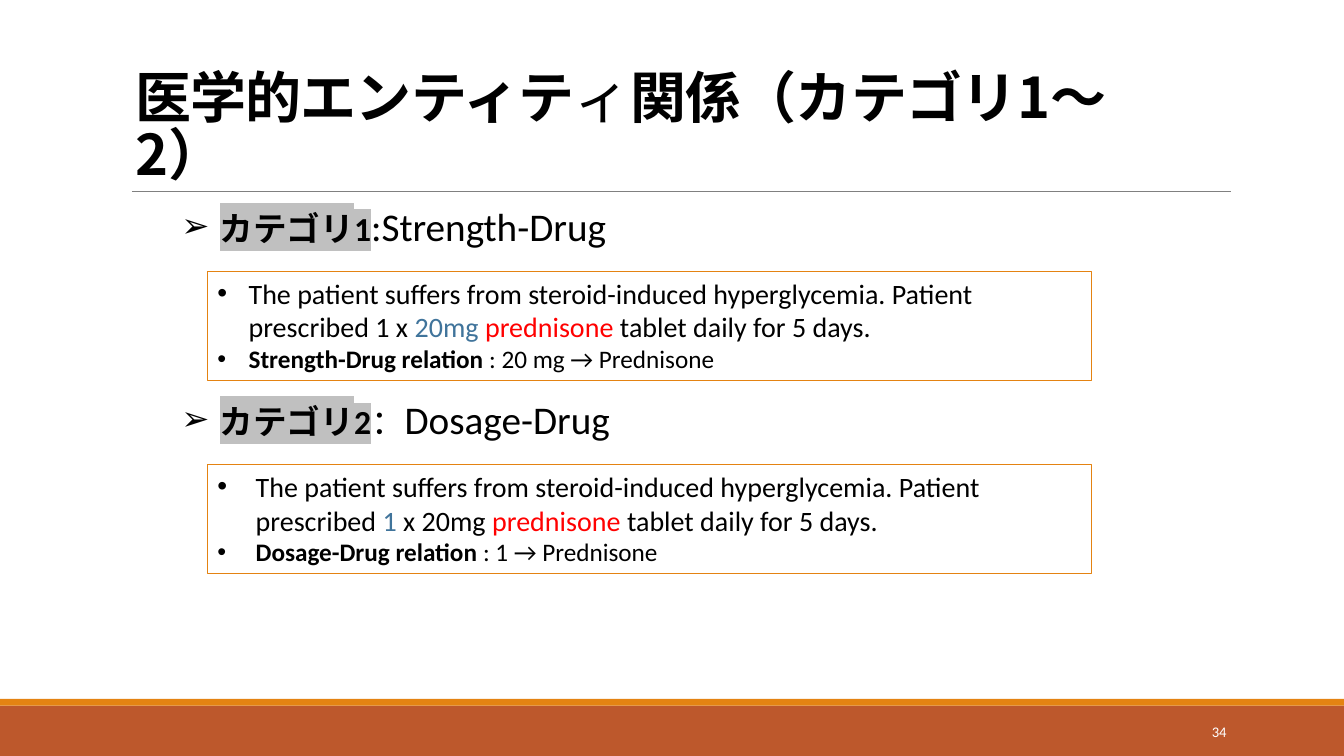
"""Builds the slide on medical entity relations, categories 1 and 2."""
from dataclasses import dataclass

from lxml import etree
from pptx import Presentation
from pptx.dml.color import RGBColor
from pptx.enum.shapes import MSO_CONNECTOR, MSO_SHAPE
from pptx.enum.text import MSO_ANCHOR, PP_ALIGN
from pptx.oxml.ns import qn
from pptx.util import Inches, Pt

RECT = MSO_SHAPE.RECTANGLE
STRAIGHT = MSO_CONNECTOR.STRAIGHT
TOP, MIDDLE, BOTTOM = MSO_ANCHOR.TOP, MSO_ANCHOR.MIDDLE, MSO_ANCHOR.BOTTOM
LEFT, RIGHT = PP_ALIGN.LEFT, PP_ALIGN.RIGHT
SLIDE_W, SLIDE_H = 13.33, 7.5
COLS, ROWS = 16, 9


@dataclass(frozen=True)
class Theme:
    """Colours, fonts and type sizes of the slide."""

    ink: str = "000000"
    paper: str = "FFFFFF"
    rust: str = "BD582C"
    orange: str = "E48312"
    rule: str = "808080"
    marker: str = "C0C0C0"
    blue: str = "40749B"
    red: str = "FF0000"
    latin: str = "Calibri"
    cjk: str = "Noto Sans CJK JP"
    title: float = 40
    heading: float = 28
    label: float = 24
    example: float = 20
    relation: float = 18
    number: float = 10.5


T = Theme()
STEP = 2.3
CATEGORIES = [
    {
        "heading": [("カテゴリ1", {"size": T.label, "bold": True, "mark": T.marker}),
                    (":Strength-Drug", {"size": T.heading})],
        "example": [("The patient suffers from steroid-induced hyperglycemia. "
                     "Patient prescribed 1 x ", {}),
                    ("20mg ", {"color": T.blue}),
                    ("prednisone ", {"color": T.red}),
                    ("tablet daily for 5 days.", {})],
        "relation": [("Strength-Drug relation ", {"bold": True}),
                     (": 20 mg → Prednisone", {})],
        "indent": 0.31,
    },
    {
        "heading": [("カテゴリ2", {"size": T.label, "bold": True, "mark": T.marker}),
                    ("：", {"size": T.label}),
                    ("Dosage-Drug", {"size": T.heading})],
        "example": [("The patient suffers from steroid-induced hyperglycemia. "
                     "Patient prescribed ", {}),
                    ("1", {"color": T.blue}),
                    (" x 20mg ", {}),
                    ("prednisone ", {"color": T.red}),
                    ("tablet daily for 5 days.", {})],
        "relation": [("Dosage-Drug relation ", {"bold": True}),
                     (": 1 → Prednisone", {})],
        "indent": 0.38,
    },
]


def grid(col, row, *size):
    """Turns grid columns and rows into slide lengths."""
    units = (SLIDE_W / COLS, SLIDE_H / ROWS) * 2
    return [Inches(n * u) for n, u in zip((col, row, *size), units)]


def add_run(p, text, size, bold=False, color=T.ink, font=T.latin, mark=None, spacing=None):
    """Adds one formatted run to a paragraph."""
    r = p.add_run()
    r.text = text
    for name, value in {"size": Pt(size), "bold": bold, "name": font}.items():
        setattr(r.font, name, value)
    r.font.color.rgb = RGBColor.from_string(color)
    rpr = r.font._element
    latin = rpr.find(qn("a:latin"))
    ea = etree.Element(qn("a:ea"), typeface=T.cjk)
    latin.addnext(ea)
    if mark:
        highlight = etree.Element(qn("a:highlight"))
        etree.SubElement(highlight, qn("a:srgbClr"), val=mark)
        latin.addprevious(highlight)
    if spacing:
        rpr.set("spc", str(int(spacing * 100)))


def add_bullet(p, char, margin, hang):
    """Gives a paragraph a bullet and a hanging indent."""
    ppr = p._p.get_or_add_pPr()
    ppr.set("marL", str(Inches(margin)))
    ppr.set("indent", str(-Inches(hang)))
    etree.SubElement(ppr, qn("a:buFont"), typeface="Arial")
    etree.SubElement(ppr, qn("a:buChar"), char=char)


def fill_text(sp, paragraphs, size, anchor=TOP, align=LEFT, bullet=None, spacing=None):
    """Writes paragraphs of runs into a shape."""
    tf = sp.text_frame
    for name, value in {"word_wrap": True, "vertical_anchor": anchor}.items():
        setattr(tf, name, value)
    for i, runs in enumerate(paragraphs):
        p = tf.add_paragraph() if i else tf.paragraphs[0]
        for name, value in {"alignment": align, "line_spacing": spacing}.items():
            setattr(p, name, value)
        if bullet:
            add_bullet(p, *bullet)
        for text, style in runs:
            add_run(p, text, **{"size": size, **style})


def add_text(s, place, paragraphs, size, **layout):
    """Adds a text box on the grid."""
    fill_text(s.shapes.add_textbox(*grid(*place)), paragraphs, size, **layout)


def add_rect(s, place, fill=None, line=None):
    """Adds a flat rectangle on the grid."""
    sp = s.shapes.add_shape(RECT, *grid(*place))
    sp.shadow.inherit = False
    if fill:
        sp.fill.solid()
        sp.fill.fore_color.rgb = RGBColor.from_string(fill)
    else:
        sp.fill.background()
    if line:
        sp.line.color.rgb = RGBColor.from_string(line)
        sp.line.width = Pt(0.75)
    else:
        sp.line.fill.background()
    return sp


def add_rule(s, start, end):
    """Adds the thin line under the title."""
    rule = s.shapes.add_connector(STRAIGHT, *grid(*start), *grid(*end))
    rule.line.color.rgb = RGBColor.from_string(T.rule)
    rule.line.width = Pt(0.5)
    etree.SubElement(rule._element.spPr, qn("a:effectLst"))


def add_category(s, row, category):
    """Adds a category heading and its boxed example."""
    add_text(s, (1.44, row, 13.42, 1.54), [category["heading"]], T.heading,
             bullet=("➢", 0.88, 0.38))
    box = add_rect(s, (2.47, row + 0.88, 10.52, 1.3), line=T.orange)
    relation = [(text, {"size": T.relation, **style}) for text, style in category["relation"]]
    fill_text(box, [category["example"], relation], T.example,
              bullet=("•", category["indent"], category["indent"]))


def main():
    """Builds and saves the slide."""
    prs = Presentation()
    prs.slide_width, prs.slide_height = Inches(SLIDE_W), Inches(SLIDE_H)
    s = prs.slides.add_slide(prs.slide_layouts[6])
    add_rect(s, (0, 8.4, COLS, 0.6), fill=T.rust)
    add_rect(s, (0, 8.32, COLS, 0.08), fill=T.orange)
    add_rule(s, (1.57, 2.28), (14.65, 2.28))
    strong = {"bold": True, "spacing": -0.5}
    title = [("医学的エンティテ", strong),
             ("ィ", {"spacing": -0.5}),
             ("関係（カテゴリ1〜2）", {**strong, "font": T.cjk})]
    add_text(s, (1.49, 1.01, 12.74, 1.28), [title], T.title, anchor=BOTTOM, spacing=0.85)
    add_text(s, (13, 8.47, 1.72, 0.48), [[("34", {"color": T.paper})]], T.number,
             anchor=MIDDLE, align=RIGHT)
    for i, category in enumerate(CATEGORIES):
        add_category(s, 2.35 + i * STEP, category)
    prs.save("out.pptx")


if __name__ == "__main__":
    main()
